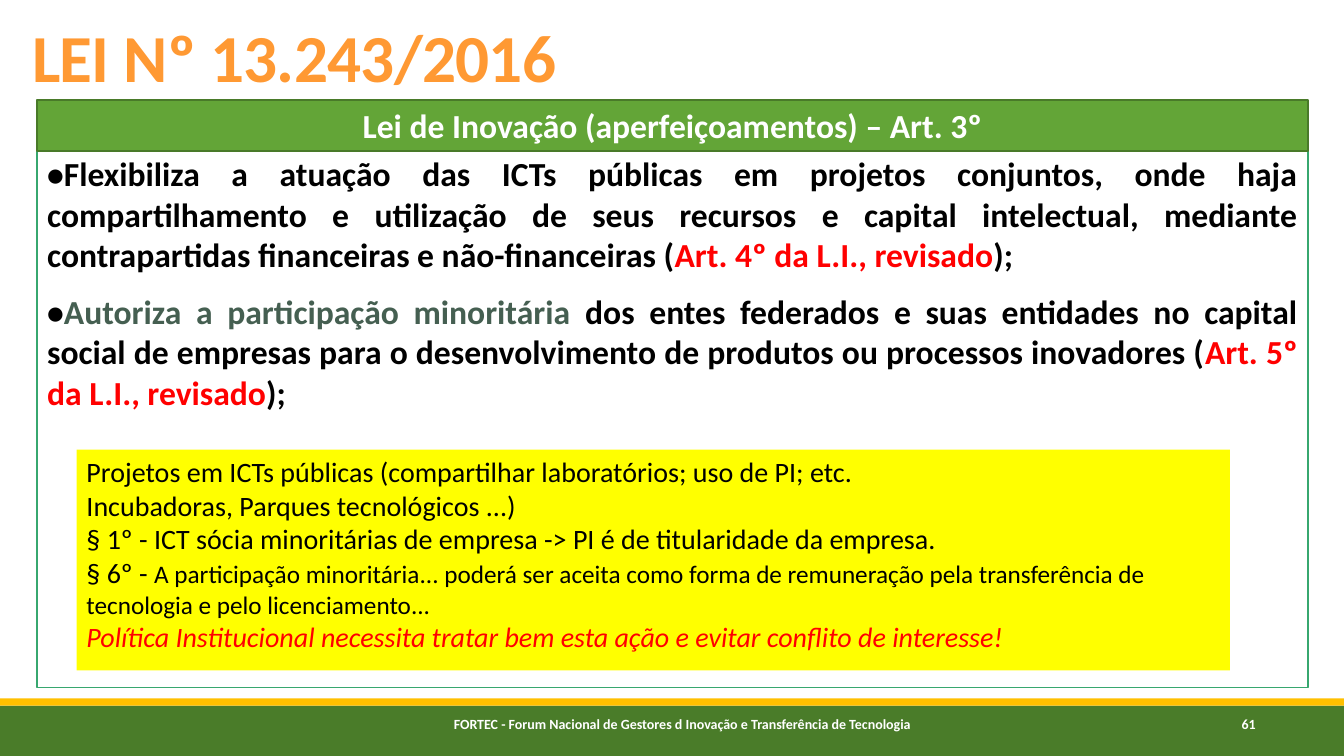
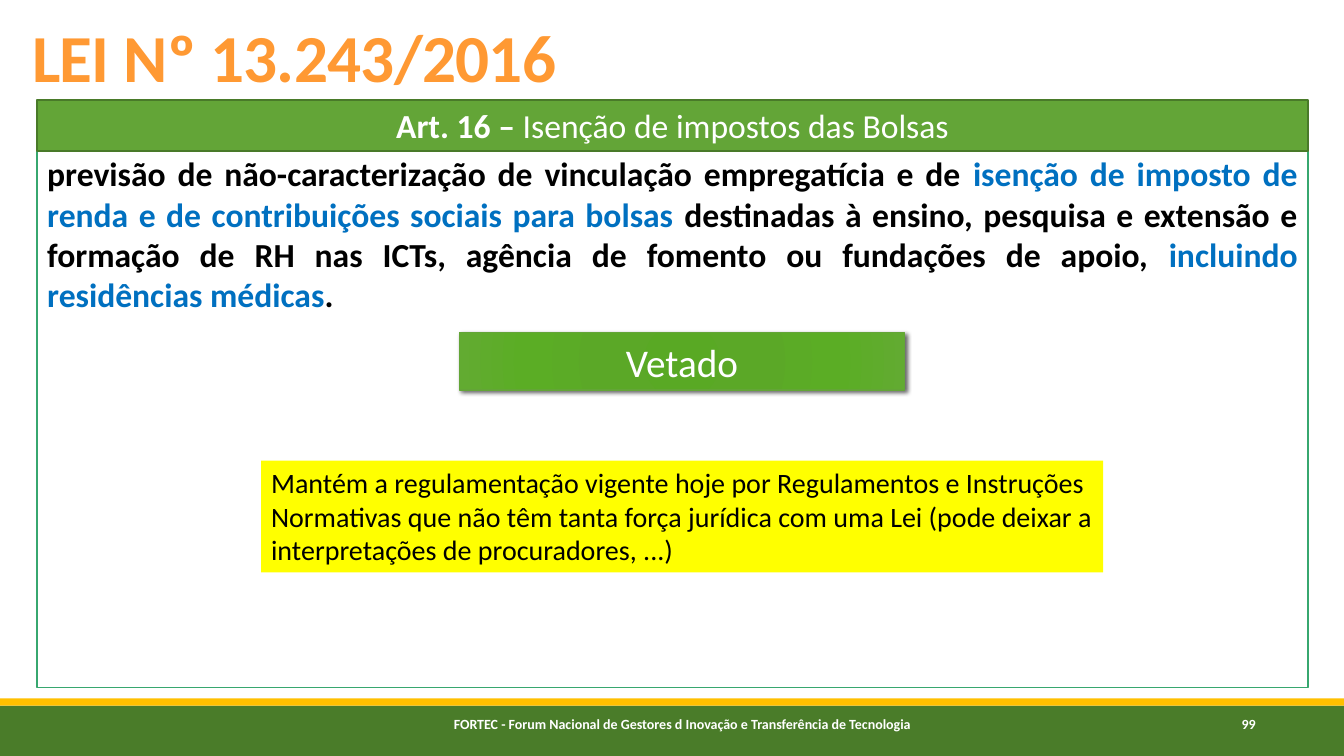
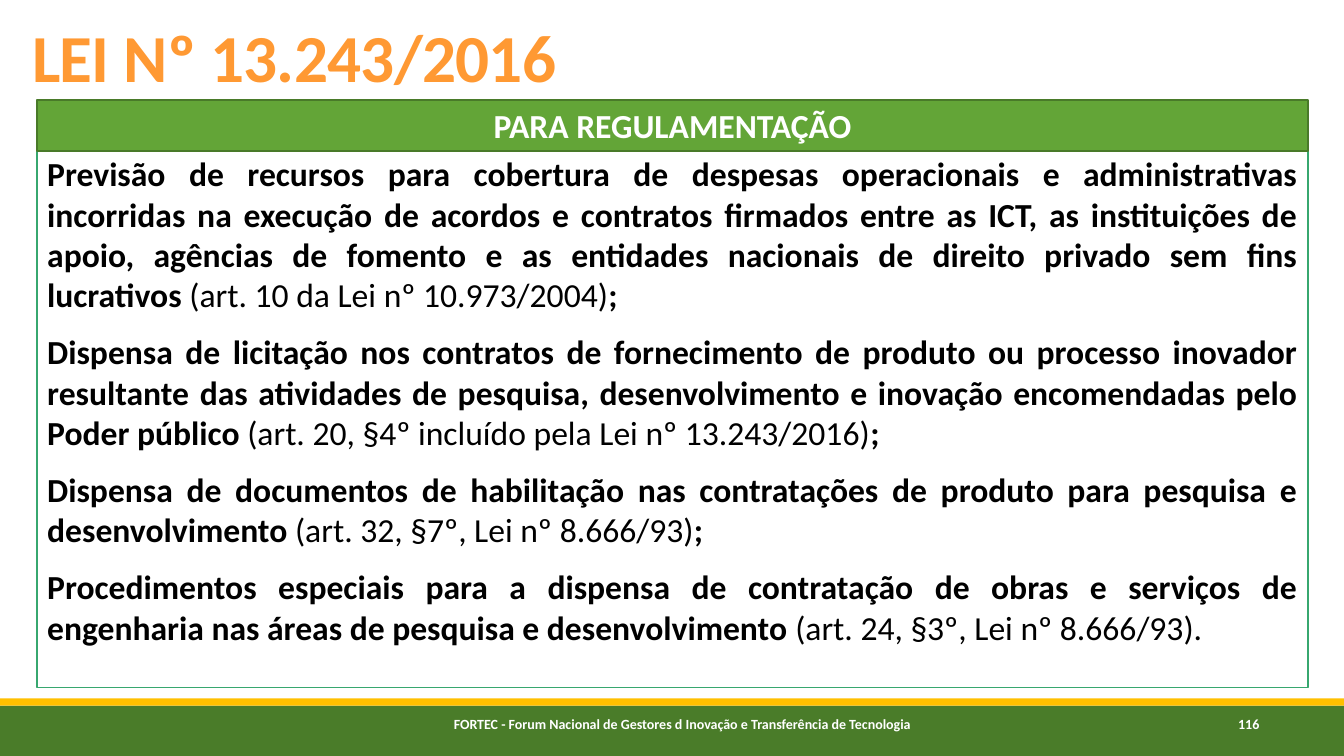
from pptx import Presentation
from pptx.dml.color import RGBColor
from pptx.enum.shapes import MSO_SHAPE as Shape
from pptx.enum.text import MSO_ANCHOR as Anchor, PP_ALIGN as Align
from pptx.oxml import parse_xml
from pptx.oxml.ns import nsdecls, qn
from pptx.util import Pt

PX = 9144
FONT = "Calibri"
WHITE, BLACK, RED, BLUE, TEAL = "FFFFFF", "000000", "FF0000", "0070C0", "455F51"
GREEN, GREEN_EDGE, FOOTER_GREEN = "63A537", "497A29", "4A7C29"
GOLD, ORANGE, YELLOW, PANEL_EDGE = "FFC000", "FF9933", "FFFF00", "37A76F"
GLOSS = [(0, "59A924"), (34, "5BA827"), (70, "5BAD25"), (100, "62AB31")]
FOOTER = "FORTEC - Forum Nacional de Gestores d Inovação e Transferência de Tecnologia"


def rgb(value):
    return RGBColor.from_string(value)


class LawDeck:
    """Slides on the innovation law: shared style plus the current page."""

    def __init__(self):
        self.deck = Presentation()
        self.deck.slide_width, self.deck.slide_height = 1333 * PX, 750 * PX
        self.page = None

    def add_page(self, number, heading, body):
        self.page = self.deck.slides.add_slide(self.deck.slide_layouts[6])
        self.block((0, 700, 1333, 50), FOOTER_GREEN)
        self.block((0, 693, 1333, 7), GOLD)
        self.label((1166, 705, 145, 40), number)
        self.title("LEI Nº 13.243/2016")
        self.label((292, 705, 769, 40), FOOTER)
        panel = self.block((37, 147, 1260, 535), WHITE, PANEL_EDGE)
        self.add_text(panel, body, 24, bold=True, align=Align.JUSTIFY, gap=12)
        band = self.block((37, 99, 1260, 51), GREEN, GREEN_EDGE)
        self.add_text(band, [heading], 24, WHITE, True, Align.CENTER, Anchor.MIDDLE)

    def block(self, place, fill, edge=None, weight=1.25):
        box = self.page.shapes.add_shape(Shape.RECTANGLE, *(n * PX for n in place))
        box.shadow.inherit = False
        box.fill.solid()
        box.fill.fore_color.rgb = rgb(fill)
        if edge:
            box.line.color.rgb = rgb(edge)
            box.line.width = Pt(weight)
        else:
            box.line.fill.background()
        return box

    def add_text(self, box, paragraphs, size, color=BLACK, bold=False,
                 align=Align.LEFT, anchor=Anchor.TOP, gap=0):
        frame = box.text_frame
        frame.word_wrap = True
        frame.vertical_anchor = anchor
        for index, runs in enumerate(paragraphs):
            para = frame.add_paragraph() if index else frame.paragraphs[0]
            para.alignment = align
            if index and gap:
                para.space_before = Pt(gap)
            for text, style in runs:
                span = para.add_run()
                span.text = text
                font = span.font
                font.name = FONT
                font.size = Pt(style.get("size", size))
                font.bold = style.get("bold", bold)
                font.italic = style.get("italic", False)
                font.color.rgb = rgb(style.get("color", color))
        return frame

    def text_box(self, place):
        return self.page.shapes.add_textbox(*(n * PX for n in place))

    def label(self, place, text):
        self.add_text(self.text_box(place), [[run(text)]], 10, WHITE, True, Align.CENTER)

    def title(self, text):
        frame = self.add_text(self.text_box((22, 14, 1198, 86)), [[run(text)]],
                              48, ORANGE, True, anchor=Anchor.BOTTOM)
        para = frame.paragraphs[0]
        para.line_spacing = 0.85
        para.runs[0].font._element.set("spc", "-50")

    def note(self, place, paragraphs):
        self.add_text(self.block(place, YELLOW), paragraphs, 20)

    def stamp(self, place, text):
        box = self.block(place, GREEN, GREEN, 1)
        stops = "".join(f'<a:gs pos="{at * 1000}"><a:srgbClr val="{color}"/></a:gs>'
                        for at, color in GLOSS)
        gradient = parse_xml(
            f'<a:gradFill {nsdecls("a")} rotWithShape="1"><a:gsLst>{stops}</a:gsLst>'
            '<a:path path="circle"><a:fillToRect l="100000" t="100000" r="100000" '
            'b="100000"/></a:path></a:gradFill>')
        shadow = parse_xml(
            f'<a:outerShdw {nsdecls("a")} blurRad="{Pt(3)}" dist="{Pt(2)}" dir="2700000" '
            'rotWithShape="0"><a:srgbClr val="000000"><a:alpha val="60000"/>'
            '</a:srgbClr></a:outerShdw>')
        properties = box._element.spPr
        properties.replace(properties.find(qn("a:solidFill")), gradient)
        properties.find(qn("a:effectLst")).append(shadow)
        self.add_text(box, [[run(text)]], 28, WHITE, align=Align.CENTER, anchor=Anchor.MIDDLE)


def run(text, **style):
    return text, style


def rule(text, source, end=";"):
    runs = [run(text), run(source, bold=False)]
    return runs + [run(end)] if end else runs


def main():
    law = LawDeck()

    law.add_page("61", [run("Lei de Inovação (aperfeiçoamentos) – Art. 3º")], [
        [run("•Flexibiliza a atuação das ICTs públicas em projetos conjuntos, onde haja "
             "compartilhamento e utilização de seus recursos e capital intelectual, mediante "
             "contrapartidas financeiras e não-financeiras ("),
         run("Art. 4º da L.I., revisado", color=RED), run(");")],
        [run("•"), run("Autoriza a participação minoritária", color=TEAL),
         run(" dos entes federados e suas entidades no capital social de empresas para o "
             "desenvolvimento de produtos ou processos inovadores ("),
         run("Art. 5º da L.I., revisado", color=RED), run(");")]])
    law.note((76, 446, 1144, 219), [
        [run("Projetos em ICTs públicas (compartilhar laboratórios; uso de PI; etc.")],
        [run("Incubadoras, Parques tecnológicos ...)")],
        [run("§ 1º - ICT sócia minoritárias de empresa -> PI é de titularidade da empresa.")],
        [run("§ 6º - "),
         run("A participação minoritária... poderá ser aceita como forma de remuneração pela "
             "transferência de tecnologia e pelo licenciamento...", size=18)],
        [run("Política Institucional necessita tratar bem esta ação e evitar conflito de "
             "interesse!", color=RED, italic=True)]])

    law.add_page("99", [run("Art. 16 – "), run("Isenção de impostos das Bolsas", bold=False)], [
        [run("previsão de não-caracterização de vinculação empregatícia e de "),
         run("isenção de imposto de renda e de contribuições sociais para bolsas ", color=BLUE),
         run("destinadas à ensino, pesquisa e extensão e formação de RH nas ICTs, agência de "
             "fomento ou fundações de apoio, "),
         run("incluindo residências médicas", color=BLUE), run(".")]])
    law.stamp((456, 330, 441, 57), "Vetado")
    law.note((259, 457, 835, 111), [
        [run("Mantém a regulamentação vigente hoje por Regulamentos e Instruções Normativas "
             "que não têm tanta força jurídica com uma Lei (pode deixar a interpretações de "
             "procuradores, ...)")]])

    law.add_page("116", [run("PARA REGULAMENTAÇÃO")], [
        rule("Previsão de recursos para cobertura de despesas operacionais e administrativas "
             "incorridas na execução de acordos e contratos firmados entre as ICT, as "
             "instituições de apoio, agências de fomento e as entidades nacionais de direito "
             "privado sem fins lucrativos ", "(art. 10 da Lei nº 10.973/2004)"),
        rule("Dispensa de licitação nos contratos de fornecimento de produto ou processo "
             "inovador resultante das atividades de pesquisa, desenvolvimento e inovação "
             "encomendadas pelo Poder público ",
             "(art. 20, §4º incluído pela Lei nº 13.243/2016)"),
        rule("Dispensa de documentos de habilitação nas contratações de produto para pesquisa "
             "e desenvolvimento ", "(art. 32, §7º, Lei nº 8.666/93)"),
        rule("Procedimentos especiais para a dispensa de contratação de obras e serviços de "
             "engenharia nas áreas de pesquisa e desenvolvimento ",
             "(art. 24, §3º, Lei nº 8.666/93).", "")])

    law.deck.save("out.pptx")


if __name__ == "__main__":
    main()
